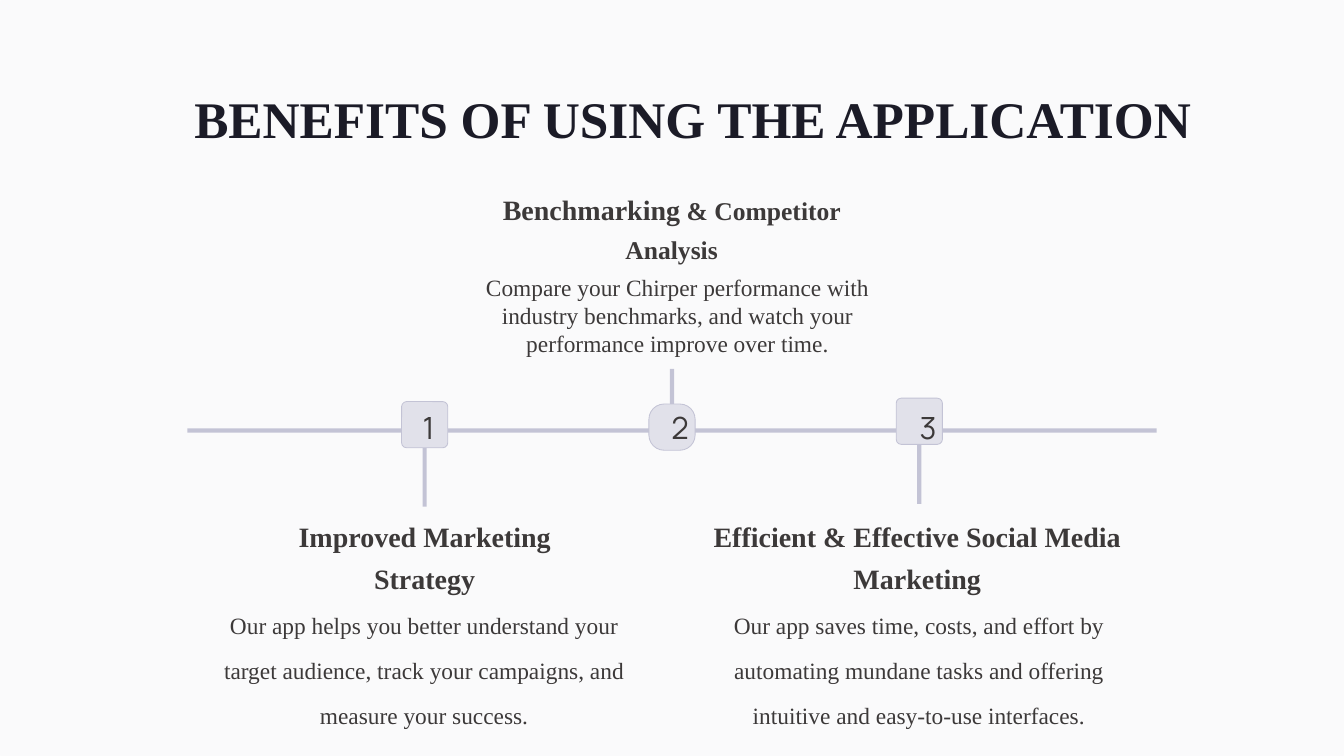
"""Builds a slide with a three-step timeline of the benefits of an application."""
from lxml import etree
from pptx import Presentation
from pptx.dml.color import RGBColor
from pptx.enum import shapes, text
from pptx.oxml.ns import qn
from pptx.util import Pt

HUES = {"white": "FFFFFF", "base": "ECECF3", "line": "C3C3D5",
        "tile": "E1E1EA", "title": "1B1B27", "ink": "3C3939"}
SERIF, SANS = "Times New Roman", "Manrope"
TITLE = "BENEFITS OF USING THE APPLICATION"
STEPS = [
    {"stem": (373, 61.2), "tile": (344.2, 0.11), "num": (357.8, 11.5),
     "head": [("Improved Marketing Strategy", 24)],
     "hbox": (218.9, 434.2, 290.2, 27.4),
     "body": "Our app helps you better understand your target audience, "
             "track your campaigns, and measure your success.",
     "bbox": (177.8, 506.2, 371.5, 111.6), "gap": 1.6},
    {"stem": (316.1, 39.6), "tile": (346.3, 0.329), "num": (568.8, 13.7),
     "head": [("Benchmarking", 24), (" & Competitor Analysis", 21.9)],
     "hbox": (391, 154.1, 369.4, 69.1),
     "body": "Compare your Chirper performance with industry benchmarks, "
             "and watch your performance improve over time.",
     "bbox": (380.9, 230.4, 399.6, 84.2), "gap": None},
    {"stem": (370.8, 61.2), "tile": (341.3, 0.11), "num": (781.2, 14.4),
     "head": [("Efficient & Effective Social Media Marketing", 24)],
     "hbox": (600.5, 434.2, 371.5, 84.2),
     "body": "Our app saves time, costs, and effort by automating mundane "
             "tasks and offering intuitive and easy-to-use interfaces.",
     "bbox": (601.9, 506.2, 371.5, 84.2), "gap": 1.6},
]
WIDE, HIGH = 1152, 648
FIRST, STEP, SIDE, THICK = 364, 212, 39.6, 3.6


def tint(name):
    return RGBColor.from_string(HUES[name])


def block(slide, box, fill, edge=None, curve=None):
    kind = shapes.MSO_SHAPE
    form = kind.RECTANGLE if curve is None else kind.ROUNDED_RECTANGLE
    shape = slide.shapes.add_shape(form, *map(Pt, box))
    shape.shadow.inherit = False
    shape.fill.solid()
    shape.fill.fore_color.rgb = tint(fill)
    if edge:
        shape.line.color.rgb = tint(edge)
        shape.line.width = Pt(0.75)
    else:
        shape.line.fill.background()
    if curve is not None:
        shape.adjustments[0] = curve
    return shape


def label(slide, box, runs, font=SERIF, hue="ink", bold=False, gap=1.25):
    frame = slide.shapes.add_textbox(*map(Pt, box)).text_frame
    frame.word_wrap = True
    para = frame.paragraphs[0]
    para.alignment = text.PP_ALIGN.CENTER
    if gap:
        para.line_spacing = gap
    for words, size in runs:
        run = para.add_run()
        run.text = words
        run.font.name = font
        run.font.size = Pt(size)
        run.font.bold = bold
        run.font.color.rgb = tint(hue)


def main():
    deck = Presentation()
    deck.slide_width, deck.slide_height = Pt(WIDE), Pt(HIGH)
    slide = deck.slides.add_slide(deck.slide_layouts[6])
    full = (0, 0, WIDE, HIGH)
    block(slide, full, "base")
    veil = block(slide, full, "white", "white")
    for color, part in zip(veil.element.spPr.iter(qn("a:srgbClr")), (74, 63)):
        etree.SubElement(color, qn("a:alpha")).set("val", str(part * 1000))
    label(slide, (54, 58.3, 1080.7, 54.7), [(TITLE, 44)], hue="title", bold=True)
    block(slide, (160.6, 367.2, 830.9, THICK), "line")
    for i, step in enumerate(STEPS):
        mid = FIRST + i * STEP
        top, tall = step["stem"]
        block(slide, (mid - THICK / 2, top, THICK, tall), "line")
        top, curve = step["tile"]
        block(slide, (mid - SIDE / 2, top, SIDE, SIDE), "tile", "line", curve)
        left, width = step["num"]
        label(slide, (left, 339.1, width, 33.1), [(str(i + 1), 26.2)], SANS)
        label(slide, step["hbox"], step["head"], bold=True)
        label(slide, step["bbox"], [(step["body"], 20)], gap=step["gap"])
    deck.save("out.pptx")


if __name__ == "__main__":
    main()
